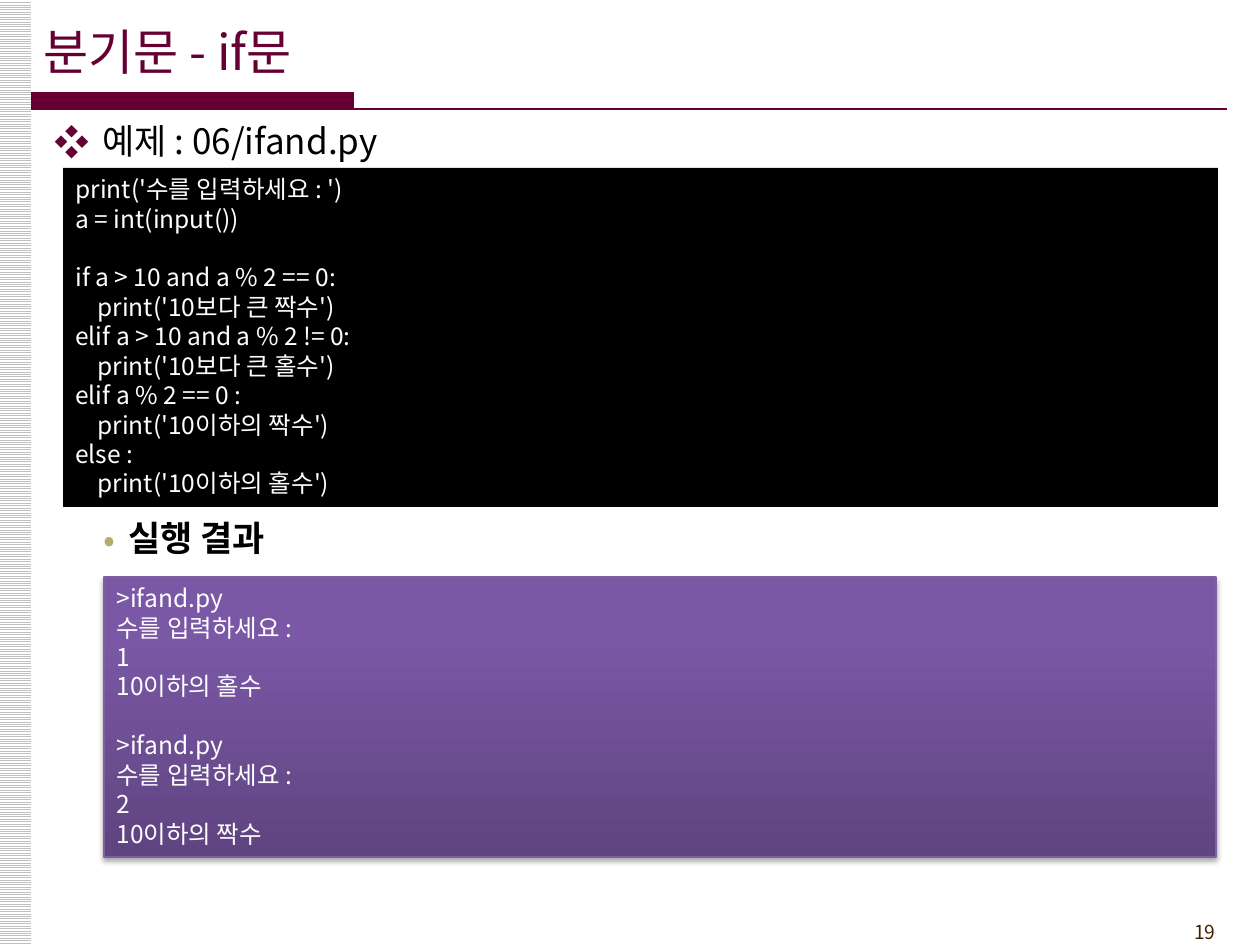
import copy
from dataclasses import dataclass, field

import pptx
import pptx.util
import pptx.dml.color
import pptx.enum.dml
import pptx.enum.shapes
import pptx.enum.text
import pptx.oxml
import pptx.oxml.ns

SCALE = 914400 / 126
FACE = "Noto Sans CJK KR"
WINE = "660033"
WHITE = "FFFFFF"
PITCH = 16.8
NS = pptx.oxml.ns.nsdecls("a")
ALIGN = pptx.enum.text.PP_ALIGN
ANCHOR = pptx.enum.text.MSO_ANCHOR
KIND = pptx.enum.shapes.MSO_SHAPE

CODE = """print('수를 입력하세요 : ')
a = int(input())

if a > 10 and a % 2 == 0:
    print('10보다 큰 짝수')
elif a > 10 and a % 2 != 0:
    print('10보다 큰 홀수')
elif a % 2 == 0 :
    print('10이하의 짝수')
else :
    print('10이하의 홀수')"""

RESULT = """>ifand.py
수를 입력하세요 :
1
10이하의 홀수

>ifand.py
수를 입력하세요 :
2
10이하의 짝수"""


@dataclass
class Box:
    left: int
    top: int
    width: int
    height: int


@dataclass
class Label:
    text: str
    box: Box
    size: int
    color: str
    bold: bool = False
    form: dict = field(default_factory=dict)
    mark: str = ""
    tint: str = WINE
    indent: int = 0
    hang: int = 0


def emu(px: int) -> int:
    return round(px * SCALE)


def rgb(value: str) -> pptx.dml.color.RGBColor:
    return pptx.dml.color.RGBColor.from_string(value)


def apply(item, values: dict) -> None:
    for name, value in values.items():
        setattr(item, name, value)


def place(box: Box) -> list:
    return [emu(n) for n in (box.left, box.top, box.width, box.height)]


def write(para, text: str, size: int, color: str, bold: bool = False) -> None:
    run = para.add_run()
    run.text = text
    apply(run.font, {"size": pptx.util.Pt(size), "bold": bold, "name": FACE})
    run.font.color.rgb = rgb(color)
    run.font._element.find(pptx.oxml.ns.qn("a:latin")).addnext(
        pptx.oxml.parse_xml(f'<a:ea {NS} typeface="{FACE}"/>'))


def label(slide, item: Label) -> None:
    frame = slide.shapes.add_textbox(*place(item.box)).text_frame
    apply(frame, {"word_wrap": True, "margin_top": 0, "margin_bottom": 0,
                  "vertical_anchor": ANCHOR.MIDDLE})
    para = frame.paragraphs[0]
    apply(para, item.form)
    if item.mark:
        props = para._p.get_or_add_pPr()
        props.set("marL", str(emu(item.indent)))
        props.set("indent", str(-emu(item.hang)))
        for part in (
            f'<a:buClr {NS}><a:srgbClr val="{item.tint}"/></a:buClr>',
            f'<a:buFont {NS} typeface="{FACE}"/>',
            f'<a:buChar {NS} char="{item.mark}"/>',
        ):
            props.append(pptx.oxml.parse_xml(part))
    write(para, item.text, item.size, item.color, item.bold)


def block(slide, box: Box, fill: str = ""):
    shape = slide.shapes.add_shape(KIND.RECTANGLE, *place(box))
    shape.shadow.inherit = False
    shape.line.fill.background()
    if fill:
        shape.fill.solid()
        shape.fill.fore_color.rgb = rgb(fill)
    return shape


def lines(shape, text: str) -> None:
    frame = shape.text_frame
    apply(frame, {"word_wrap": True, "vertical_anchor": ANCHOR.TOP})
    para, gap = frame.paragraphs[0], 0
    for num, row in enumerate(text.split("\n")):
        if not row:
            gap = PITCH
            continue
        if num:
            para = frame.add_paragraph()
        apply(para, {"alignment": ALIGN.JUSTIFY,
                     "line_spacing": pptx.util.Pt(PITCH),
                     "space_before": pptx.util.Pt(gap)})
        write(para, row, 14, WHITE)
        gap = 0


def shade(shape) -> None:
    shape.fill.gradient()
    shape.fill.gradient_angle = 90
    stops = shape.fill._xPr.find(
        pptx.oxml.ns.qn("a:gradFill")).find(pptx.oxml.ns.qn("a:gsLst"))
    stops.append(copy.deepcopy(stops[-1]))
    tones = [(0, "5F4480"), (0.8, "7B58A6"), (1, "7C57A8")]
    for stop, (spot, tone) in zip(shape.fill.gradient_stops, tones):
        stop.position = spot
        stop.color.rgb = rgb(tone)
    shape.line.color.rgb = rgb("7D60A0")
    shape.line.width = pptx.util.Pt(0.75)
    glow = shape._element.spPr.find(pptx.oxml.ns.qn("a:effectLst"))
    glow.append(pptx.oxml.parse_xml(
        f'<a:outerShdw {NS} blurRad="39370" dist="22860" dir="5400000" '
        'rotWithShape="0"><a:srgbClr val="000000"><a:alpha val="35000"/>'
        '</a:srgbClr></a:outerShdw>'))


def main() -> None:
    deck = pptx.Presentation()
    apply(deck, {"slide_width": emu(1260), "slide_height": emu(945)})
    slide = deck.slides.add_slide(deck.slide_layouts[6])

    strip = block(slide, Box(-1, 0, 32, 945))
    strip.fill.patterned()
    strip.fill.pattern = pptx.enum.dml.MSO_PATTERN.LIGHT_HORIZONTAL
    strip.fill.fore_color.rgb = rgb("C0C0C0")
    strip.fill.back_color.rgb = rgb(WHITE)

    block(slide, Box(31, 92, 323, 18), WINE)
    rule = slide.shapes.add_connector(
        pptx.enum.shapes.MSO_CONNECTOR.STRAIGHT,
        emu(31), emu(109), emu(1227), emu(109))
    rule.line.color.rgb = rgb(WINE)
    rule.line.width = pptx.util.Pt(1.5)
    rule._element.spPr.append(pptx.oxml.parse_xml(f"<a:effectLst {NS}/>"))

    for item in (
        Label("분기문 - if문", Box(31, 11, 1177, 80), 28, WINE),
        Label("예제 : 06/ifand.py", Box(42, 115, 1197, 51), 20, "000000",
              mark="❖", indent=48, hang=48),
        Label("실행 결과", Box(42, 512, 1197, 51), 20, "000000", True,
              mark="•", tint="B1AE6B", indent=74, hang=25),
        Label("19", Box(1124, 913, 104, 37), 11, "452103",
              form={"alignment": ALIGN.RIGHT}),
    ):
        label(slide, item)

    lines(block(slide, Box(63, 168, 1155, 339), "000000"), CODE)
    panel = block(slide, Box(104, 577, 1112, 280))
    shade(panel)
    lines(panel, RESULT)
    deck.save("out.pptx")


if __name__ == "__main__":
    main()
